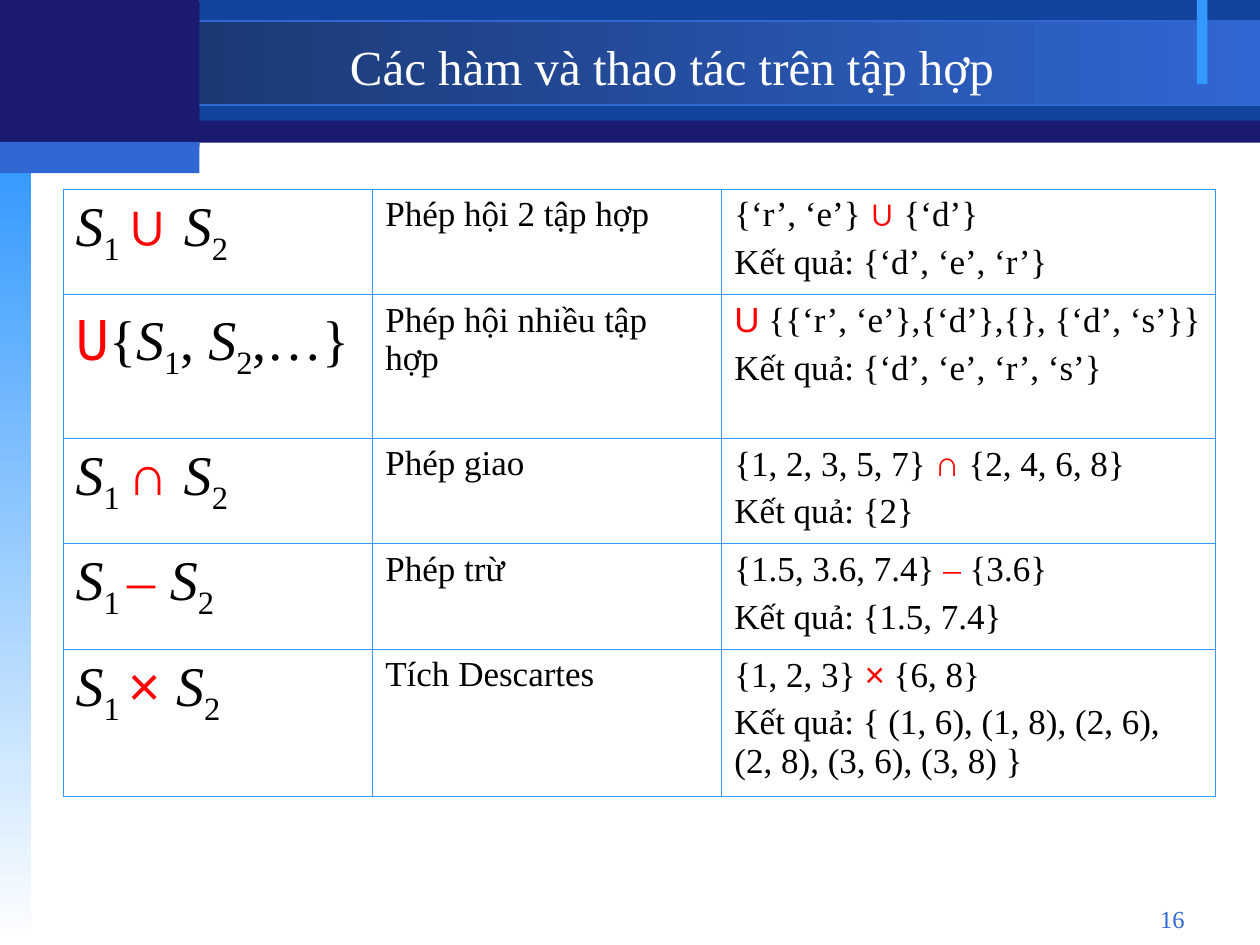
from collections import namedtuple

from lxml.etree import SubElement
from pptx import Presentation
from pptx.dml.color import RGBColor
from pptx.enum.shapes import MSO_SHAPE
from pptx.enum.text import MSO_ANCHOR, PP_ALIGN
from pptx.oxml.ns import qn
from pptx.util import Inches, Pt

NAVY = RGBColor(0x1A, 0x1A, 0x70)
ROYAL = RGBColor(0x12, 0x44, 0x9E)
DUSK = RGBColor(0x17, 0x30, 0x62)
BLUE = RGBColor(0x31, 0x67, 0xD3)
SKY = RGBColor(0x33, 0x99, 0xFF)
WHITE = RGBColor(0xFF, 0xFF, 0xFF)
BLACK = RGBColor(0x00, 0x00, 0x00)
RED = RGBColor(0xFF, 0x03, 0x03)

SERIF = "Times New Roman"
SANS = "Arial"
MONO = "Noto Sans Mono"

GRID_COLUMNS = 120
GRID_ROWS = 90
TABLE_COLUMNS = [29.5, 33.25, 47]
TABLE_ROWS = [10.05, 13.7, 10.05, 10.05, 14.05]

Box = namedtuple("Box", "left top width height")
Span = namedtuple("Span", "text font italic sub color", defaults=[SERIF, False, False, BLACK])


def part(box, left, top, width, height):
    """Return the part of a box given in grid columns and rows."""
    column, row = box.width / GRID_COLUMNS, box.height / GRID_ROWS
    return Box(int(box.left + left * column), int(box.top + top * row),
               int(width * column), int(height * row))


def mark(text, font=SANS):
    """Return a red operator span."""
    return Span(text, font, color=RED)


def variable(index):
    """Return the spans of a set name with its index."""
    return [Span("S", italic=True), Span(index, sub=True)]


def binary(operator, font=SANS):
    """Return the spans of an operation on two sets."""
    return variable("1 ") + [mark(operator + " ", font)] + variable("2")


UNION_OF_MANY = [mark("U", MONO), Span("{"), *variable("1"), Span(", "),
                 *variable("2"), Span(",…}")]

OPERATIONS = [
    (binary("∪"), "Phép hội 2 tập hợp",
     [Span("{‘r’, ‘e’} "), mark("∪"), Span(" {‘d’}")],
     "Kết quả: {‘d’, ‘e’, ‘r’}"),
    (UNION_OF_MANY, "Phép hội nhiều tập hợp",
     [mark("U"), Span(" {{‘r’, ‘e’},{‘d’},{}, {‘d’, ‘s’}}")],
     "Kết quả: {‘d’, ‘e’, ‘r’, ‘s’}"),
    (binary("∩"), "Phép giao",
     [Span("{1, 2, 3, 5, 7} "), mark("∩"), Span(" {2, 4, 6, 8}")],
     "Kết quả: {2}"),
    (binary("–", SERIF), "Phép trừ",
     [Span("{1.5, 3.6, 7.4} "), mark("–", SERIF), Span(" {3.6}")],
     "Kết quả: {1.5, 7.4}"),
    (binary("×"), "Tích Descartes",
     [Span("{1, 2, 3} "), mark("×"), Span(" {6, 8}")],
     "Kết quả: { (1, 6), (1, 8), (2, 6), (2, 8), (3, 6), (3, 8) }"),
]


def add_panel(page, box, colors, angle=0, outline=None):
    """Draw a rectangle in one colour or in a gradient of two."""
    panel = page.shapes.add_shape(MSO_SHAPE.RECTANGLE, *box)
    panel.shadow.inherit = False
    if len(colors) == 1:
        panel.fill.solid()
        panel.fill.fore_color.rgb = colors[0]
    else:
        panel.fill.gradient()
        panel.fill.gradient_angle = angle
        for stop, color in zip(panel.fill.gradient_stops, colors):
            stop.color.rgb = color
    if outline is None:
        panel.line.fill.background()
    else:
        panel.line.color.rgb = outline
        panel.line.width = Pt(0.75)


def add_backdrop(page, box):
    """Draw the header bands, the corner and the side strip."""
    add_panel(page, part(box, 0, 0.1, 120, 13.5), [NAVY])
    add_panel(page, part(box, 19, 0, 101, 11.5), [ROYAL])
    add_panel(page, part(box, 0, 2, 120, 8), [DUSK, BLUE], outline=BLUE)
    add_panel(page, part(box, 0, 15, 3, 75), [SKY, WHITE], angle=270)
    add_panel(page, part(box, 114, 0, 1, 8), [SKY])
    add_panel(page, part(box, 0, 0, 19, 14), [NAVY])
    add_panel(page, part(box, 0, 13.5, 19, 3), [BLUE])


def add_label(page, box, text, size, color, align, anchor):
    """Write one line of text in a box."""
    frame = page.shapes.add_textbox(*box).text_frame
    frame.word_wrap = True
    frame.vertical_anchor = anchor
    para = frame.paragraphs[0]
    para.text = text
    para.alignment = align
    para.font.size = Pt(size)
    para.font.name = SERIF
    para.font.color.rgb = color


def write_spans(para, spans, size):
    """Write styled spans into a paragraph."""
    para.font.size = Pt(size)
    for span in spans:
        run = para.add_run()
        run.text = span.text
        run.font.name = span.font
        run.font.size = Pt(size)
        run.font.italic = span.italic
        run.font.color.rgb = span.color
        if span.sub:
            run.font._element.set("baseline", "-25000")


def style_cell(cell):
    """Clear the fill of a cell and draw its four borders."""
    cell.fill.background()
    properties = cell._tc.get_or_add_tcPr()
    for position, side in enumerate(("lnL", "lnR", "lnT", "lnB")):
        border = SubElement(properties, qn(f"a:{side}"), w=str(Pt(0.45)))
        fill = SubElement(border, qn("a:solidFill"))
        SubElement(fill, qn("a:srgbClr"), val=str(SKY))
        properties.insert(position, border)


def add_operations(page, box):
    """Build the table of set operations."""
    table = page.shapes.add_table(len(TABLE_ROWS), len(TABLE_COLUMNS), *box).table
    table.first_row = table.horz_banding = False
    for column, share in zip(table.columns, TABLE_COLUMNS):
        column.width = int(box.width * share / sum(TABLE_COLUMNS))
    for row, share in zip(table.rows, TABLE_ROWS):
        row.height = int(box.height * share / sum(TABLE_ROWS))
    for row, (notation, name, example, result) in zip(table.rows, OPERATIONS):
        for cell in row.cells:
            style_cell(cell)
        frames = [cell.text_frame for cell in row.cells]
        write_spans(frames[0].paragraphs[0], notation, 32)
        write_spans(frames[1].paragraphs[0], [Span(name)], 20)
        write_spans(frames[2].paragraphs[0], example, 20)
        outcome = frames[2].add_paragraph()
        outcome.space_before = Pt(5)
        write_spans(outcome, [Span(result)], 20)


def main():
    """Build the deck and save it."""
    deck = Presentation()
    deck.slide_width, deck.slide_height = Inches(10), Inches(7.5)
    page = deck.slides.add_slide(deck.slide_layouts[6])
    whole = Box(0, 0, deck.slide_width, deck.slide_height)
    add_backdrop(page, whole)
    add_label(page, part(whole, 86, 85.5, 28, 3.25), "16", 14, BLUE,
              PP_ALIGN.RIGHT, MSO_ANCHOR.TOP)
    add_label(page, part(whole, 19, 2.75, 90, 7), "Các hàm và thao tác trên tập hợp",
              28, WHITE, PP_ALIGN.CENTER, MSO_ANCHOR.MIDDLE)
    add_operations(page, part(whole, 6, 18, sum(TABLE_COLUMNS), sum(TABLE_ROWS)))
    deck.save("out.pptx")


if __name__ == "__main__":
    main()
